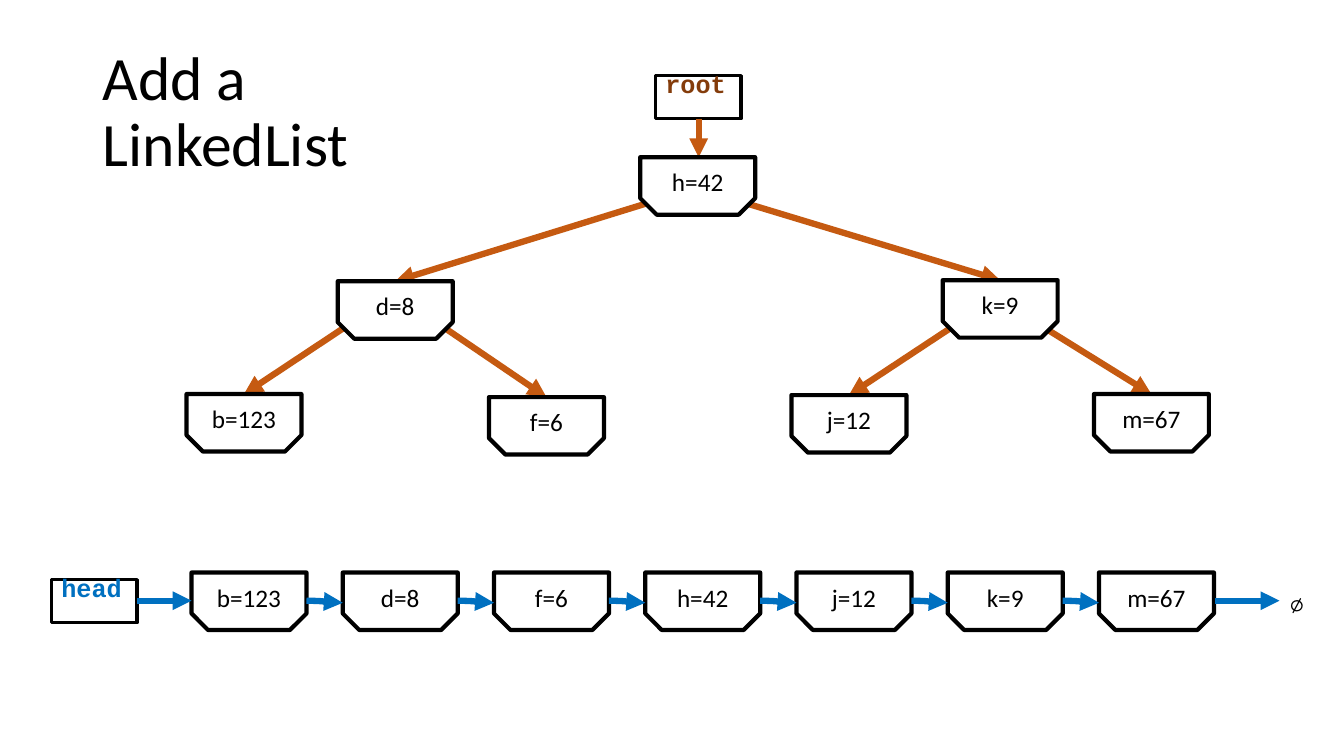
from lxml import etree
from pptx import Presentation, util as u
from pptx.dml import color
from pptx.enum import shapes, text
from pptx.oxml import ns

NODE_W, NODE_H, PITCH = 1.14, 0.57, 1.5
TREE_LEFT, LIST_LEFT, LIST_TOP = 1.85, 1.9, 5.68
LABEL_W, LABEL_H = 0.85, 0.43
ORANGE, BROWN, BLUE, BLACK, WHITE = "C55A11", "843C0B", "0070C0", "000000", "FFFFFF"


def rgb(value):
    return color.RGBColor.from_string(value)


class Diagram:
    body_font, code_font, size = "Calibri", "Courier New", 18

    def __init__(self, slide):
        self.shapes = slide.shapes

    def set_text(self, frame, words, font, size, ink, bold=False):
        frame.word_wrap = True
        frame.vertical_anchor = text.MSO_ANCHOR.MIDDLE
        line = frame.paragraphs[0]
        line.text = words
        line.font.name, line.font.size, line.font.bold = font, u.Pt(size), bold
        line.font.color.rgb = rgb(ink)
        return line

    def outline(self, kind, left, top, width, height, weight):
        box = self.shapes.add_shape(kind, *map(u.Inches, (left, top, width, height)))
        box.shadow.inherit = False
        box.line.color.rgb = rgb(BLACK)
        box.line.width = u.Pt(weight)
        return box

    def node(self, words, left, top):
        box = self.outline(shapes.MSO_SHAPE.SNIP_2_SAME_RECTANGLE,
                           left, top, NODE_W, NODE_H, 3)
        box.adjustments[0], box.adjustments[1] = 0, 0.286
        box.fill.solid()
        box.fill.fore_color.rgb = rgb(WHITE)
        line = self.set_text(box.text_frame, words, self.body_font, self.size, BLACK)
        line.alignment = text.PP_ALIGN.CENTER

    def label(self, words, left, top, ink):
        box = self.outline(shapes.MSO_SHAPE.RECTANGLE, left, top, LABEL_W, LABEL_H, 2.25)
        box.fill.background()
        box.text_frame.margin_bottom = u.Inches(0.32)
        line = self.set_text(box.text_frame, words, self.code_font, self.size, ink, True)
        line.alignment = text.PP_ALIGN.LEFT

    def words(self, words, left, top, width, height, font, size):
        box = self.shapes.add_textbox(*map(u.Inches, (left, top, width, height)))
        return self.set_text(box.text_frame, words, font, size, BLACK)

    def arrow(self, start, end, ink, kind=shapes.MSO_CONNECTOR.STRAIGHT):
        link = self.shapes.add_connector(kind, *map(u.Inches, (*start, *end)))
        link.line.color.rgb = rgb(ink)
        link.line.width = u.Pt(4.5)
        properties = link.element.spPr
        etree.SubElement(properties.get_or_add_ln(), ns.qn("a:tailEnd"), type="triangle")
        etree.SubElement(properties, ns.qn("a:effectLst"))


def draw_tree(diagram, entries):
    tops = dict(zip("bdfhjkm", (3.91, 2.79, 3.94, 1.56, 3.92, 2.78, 3.91)))
    lefts = {key: TREE_LEFT + PITCH * i for i, key in enumerate(tops)}
    edges = [("d", (6.73, 1.92)), ("k", (7.41, 2.02)), ("b", (3.4, 3.26)),
             ("f", (4.42, 3.26)), ("j", (9.45, 3.24)), ("m", (10.34, 3.24))]
    for child, start in edges:
        diagram.arrow(start, (lefts[child] + NODE_W / 2, tops[child]), ORANGE)
    diagram.label("root", 6.5, 0.75, BROWN)
    diagram.arrow((6.93, 1.18), (6.93, tops["h"]), ORANGE)
    for entry in entries:
        diagram.node(entry, lefts[entry[0]], tops[entry[0]])


def draw_list(diagram, entries):
    middle, curve = 5.96, shapes.MSO_CONNECTOR.CURVE
    diagram.label("head", 0.51, 5.75, BLUE)
    for i, entry in enumerate(entries):
        diagram.node(entry, LIST_LEFT + PITCH * i, LIST_TOP)
    diagram.arrow((0.51 + LABEL_W, middle), (LIST_LEFT, middle), BLUE, curve)
    for i in range(1, len(entries)):
        left = LIST_LEFT + PITCH * i
        diagram.arrow((left - PITCH + NODE_W, middle), (left, middle + 0.02), BLUE, curve)
    diagram.arrow((12.05, middle), (12.69, middle), BLUE, curve)
    diagram.words("∅", 12.69, 5.75, 0.33, 0.43, diagram.code_font, diagram.size)


def main():
    deck = Presentation()
    deck.slide_width, deck.slide_height = u.Inches(13.33), u.Inches(7.5)
    diagram = Diagram(deck.slides.add_slide(deck.slide_layouts[6]))
    title = diagram.words("Add a LinkedList", 0.92, 0.4, 3.72, 1.45, diagram.body_font, 44)
    title.line_spacing = 0.9
    entries = ["b=123", "d=8", "f=6", "h=42", "j=12", "k=9", "m=67"]
    draw_tree(diagram, entries)
    draw_list(diagram, entries)
    deck.save("out.pptx")


if __name__ == "__main__":
    main()
